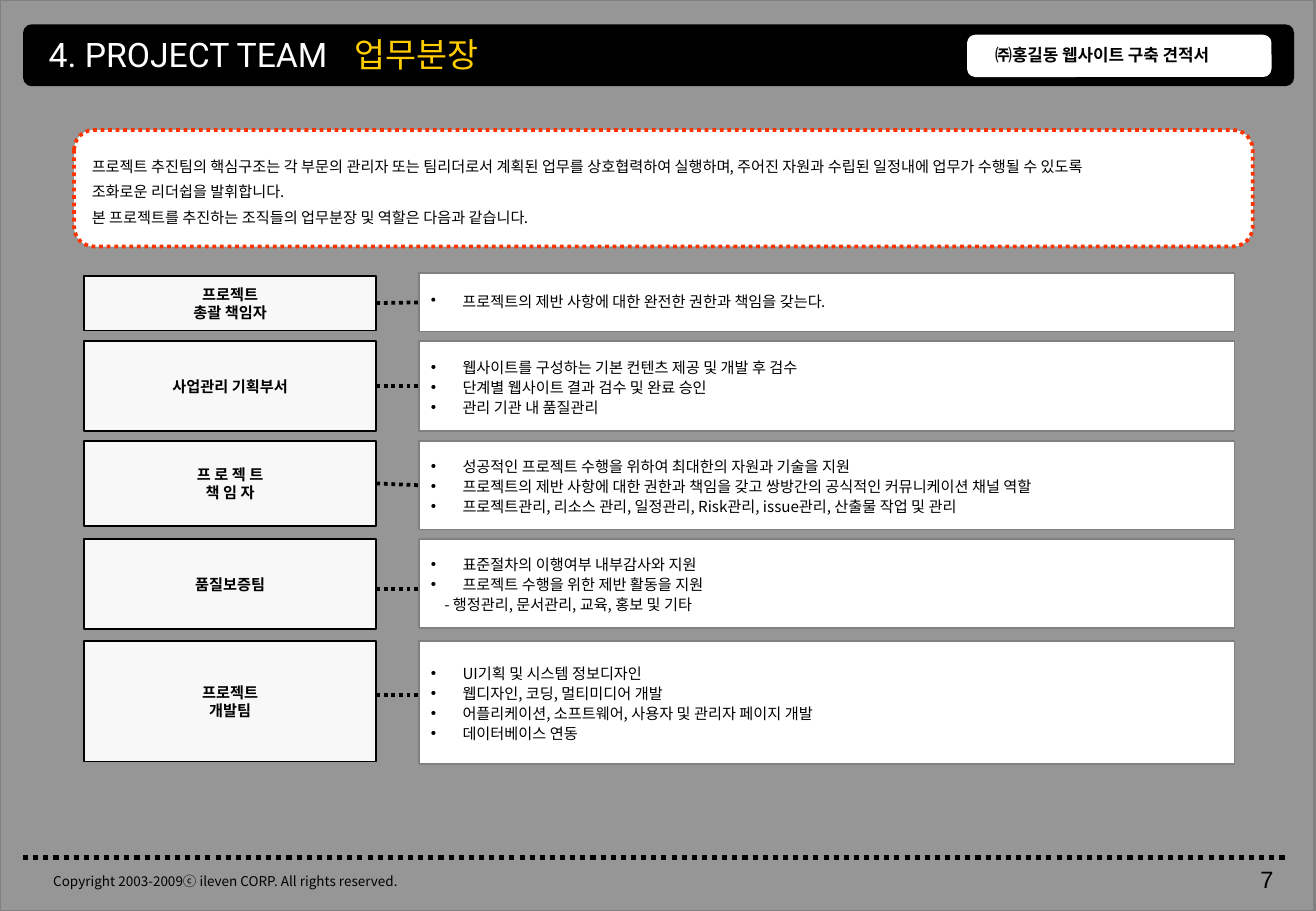
from dataclasses import dataclass
from typing import Optional

from lxml.etree import SubElement
from pptx import Presentation
from pptx.dml.color import RGBColor
from pptx.enum.dml import MSO_LINE
from pptx.enum.shapes import MSO_CONNECTOR as Connector, MSO_SHAPE as Preset
from pptx.enum.text import MSO_ANCHOR as Anchor, MSO_AUTO_SIZE as AutoSize, PP_ALIGN as Align
from pptx.oxml.ns import qn
from pptx.util import Pt

PX = 9144  # EMU per px, 100 px to the inch
BLACK = RGBColor(0x00, 0x00, 0x00)
WHITE = RGBColor(0xFF, 0xFF, 0xFF)
BACKDROP = RGBColor(0x96, 0x96, 0x96)
GRAY = RGBColor(0x80, 0x80, 0x80)
PALE = RGBColor(0xF8, 0xF8, 0xF8)
YELLOW = RGBColor(0xFF, 0xCC, 0x00)
ORANGE = RGBColor(0xFF, 0x33, 0x00)
KOREAN = "Noto Sans CJK KR"

LABEL_LEFT, LABEL_WIDTH = 69, 241
DUTY_LEFT, DUTY_WIDTH = 345, 672
BULLET_INDENT, DASH_INDENT = 26, 11


@dataclass(frozen=True)
class Box:
    left: int
    top: int
    width: int
    height: int

    def emu(self) -> tuple:
        return tuple(n * PX for n in (self.left, self.top, self.width, self.height))


@dataclass(frozen=True)
class Style:
    size: int = 9
    font: str = KOREAN
    color: RGBColor = BLACK
    bold: bool = False
    align: Align = Align.LEFT
    spacing: float = 1.0
    anchor: Anchor = Anchor.MIDDLE
    bullets: bool = False


@dataclass(frozen=True)
class Role:
    top: int
    label_height: int
    duty_top: int
    duty_height: int
    link_y: int
    name: tuple
    duties: tuple
    spacing: float = 1.1


@dataclass(frozen=True)
class Caption:
    box: Box
    text: str
    style: Style


ROLES = (
    Role(227, 45, 225, 48, 249, ("프로젝트", "총괄 책임자"),
         ("프로젝트의 제반 사항에 대한 완전한 권한과 책임을 갖는다.",), 0.9),
    Role(281, 74, 281, 74, 317, ("사업관리 기획부서",),
         ("웹사이트를 구성하는 기본 컨텐츠 제공 및 개발 후 검수",
          "단계별 웹사이트 결과 검수 및 완료 승인",
          "관리 기관 내 품질관리")),
    Role(363, 70, 363, 73, 399, ("프 로 젝 트", "책 임 자"),
         ("성공적인 프로젝트 수행을 위하여 최대한의 자원과 기술을 지원",
          "프로젝트의 제반 사항에 대한 권한과 책임을 갖고 쌍방간의 공식적인 커뮤니케이션 채널 역할",
          "프로젝트관리, 리소스 관리, 일정관리, Risk관리, issue관리, 산출물 작업 및 관리")),
    Role(444, 74, 444, 73, 485, ("품질보증팀",),
         ("표준절차의 이행여부 내부감사와 지원",
          "프로젝트 수행을 위한 제반 활동을 지원",
          "- 행정관리, 문서관리, 교육, 홍보 및 기타")),
    Role(528, 99, 528, 101, 572, ("프로젝트", "개발팀"),
         ("UI기획 및 시스템 정보디자인",
          "웹디자인, 코딩, 멀티미디어 개발",
          "어플리케이션, 소프트웨어, 사용자 및 관리자 페이지 개발",
          "데이터베이스 연동")),
)

INTRO = (
    "프로젝트 추진팀의 핵심구조는 각 부문의 관리자 또는 팀리더로서 계획된 업무를 상호협력하여 실행하며, "
    "주어진 자원과 수립된 일정내에 업무가 수행될 수 있도록",
    "조화로운 리더쉽을 발휘합니다.",
    "본 프로젝트를 추진하는 조직들의 업무분장 및 역할은 다음과 같습니다.",
)

CAPTIONS = (
    Caption(Box(34, 714, 330, 24), "Copyright 2003-2009ⓒ ileven CORP. All rights reserved.",
            Style(8, anchor=Anchor.TOP)),
    Caption(Box(810, 32, 210, 27), "㈜홍길동 웹사이트 구축 견적서",
            Style(10, bold=True, anchor=Anchor.TOP)),
    Caption(Box(833, 707, 226, 50), "7",
            Style(14, "Arial", align=Align.RIGHT, anchor=Anchor.TOP)),
    Caption(Box(282, 23, 323, 44), "업무분장", Style(20, color=YELLOW, anchor=Anchor.TOP)),
)


def set_bullet(paragraph, line: str) -> None:
    """Bullet a list line, or indent it plainly if it opens with a dash."""
    props = paragraph._p.get_or_add_pPr()
    if line.startswith("- "):
        props.set("marL", str(DASH_INDENT * PX))
        props.set("indent", "0")
        SubElement(props, qn("a:buNone"))
        return
    props.set("marL", str(BULLET_INDENT * PX))
    props.set("indent", str(-BULLET_INDENT * PX))
    color = SubElement(props, qn("a:buClr"))
    SubElement(color, qn("a:srgbClr")).set("val", str(BLACK))
    SubElement(props, qn("a:buChar")).set("char", "•")


def write(shape, lines: tuple, style: Style) -> None:
    frame = shape.text_frame
    frame.word_wrap = True
    frame.auto_size = AutoSize.NONE
    frame.vertical_anchor = style.anchor
    frame.margin_left = frame.margin_right = 10 * PX
    frame.margin_top = frame.margin_bottom = 5 * PX
    for i, line in enumerate(lines):
        paragraph = frame.add_paragraph() if i else frame.paragraphs[0]
        if style.bullets:
            set_bullet(paragraph, line)
        paragraph.alignment = style.align
        paragraph.line_spacing = style.spacing
        paragraph.space_before = Pt(0)
        run = paragraph.add_run()
        run.text = line
        run.font.size = Pt(style.size)
        run.font.bold = style.bold
        run.font.color.rgb = style.color
        run.font.name = style.font
        SubElement(run._r.get_or_add_rPr(), qn("a:ea")).set("typeface", style.font)


def place(shape, box: Box) -> None:
    shape.left, shape.top, shape.width, shape.height = box.emu()


def paint(shape, fill: Optional[RGBColor], line: Optional[RGBColor], weight: float = 1) -> None:
    shape.shadow.inherit = False
    if fill is None:
        shape.fill.background()
    else:
        shape.fill.solid()
        shape.fill.fore_color.rgb = fill
    if line is None:
        shape.line.fill.background()
    else:
        shape.line.color.rgb = line
        shape.line.width = Pt(weight)


def add_panel(slide, box: Box, fill: Optional[RGBColor], line: Optional[RGBColor] = None,
              weight: float = 1, corner: float = 0):
    """Add a rectangle, rounded when a corner ratio is given."""
    preset = Preset.ROUNDED_RECTANGLE if corner else Preset.RECTANGLE
    panel = slide.shapes.add_shape(preset, *box.emu())
    if corner:
        panel.adjustments[0] = corner
    paint(panel, fill, line, weight)
    return panel


def add_dotted_line(slide, left: int, right: int, y: int, weight: float):
    dots = slide.shapes.add_connector(Connector.STRAIGHT, left * PX, y * PX, right * PX, y * PX)
    dots.line.color.rgb = BLACK
    dots.line.width = Pt(weight)
    dots.line.dash_style = MSO_LINE.ROUND_DOT
    SubElement(dots._element.spPr, qn("a:effectLst"))
    return dots


def add_role(slide, role: Role, duties) -> None:
    place(duties, Box(DUTY_LEFT, role.duty_top, DUTY_WIDTH, role.duty_height))
    paint(duties, WHITE, GRAY)
    write(duties, role.duties, Style(spacing=role.spacing, bullets=True))
    label = add_panel(slide, Box(LABEL_LEFT, role.top, LABEL_WIDTH, role.label_height), PALE, BLACK)
    write(label, role.name, Style(bold=True, align=Align.CENTER))
    link = add_dotted_line(slide, LABEL_LEFT + LABEL_WIDTH, DUTY_LEFT, role.link_y, 2.25)
    if abs(role.link_y - role.top - role.label_height / 2) <= 1:
        link.begin_connect(label, 3)
        link.end_connect(duties, 1)


def main() -> None:
    deck = Presentation()
    deck.slide_width, deck.slide_height = 1084 * PX, 750 * PX
    slide = deck.slides.add_slide(deck.slide_layouts.get_by_name("Comparison"))
    slide.background.fill.solid()
    slide.background.fill.fore_color.rgb = BACKDROP
    title, *lists = slide.placeholders

    add_panel(slide, Box(0, 0, 1083, 750), None, GRAY, 1.5)
    add_dotted_line(slide, 19, 1059, 706, 3)
    add_panel(slide, Box(19, 20, 1047, 51), BLACK, corner=0.14)
    add_panel(slide, Box(798, 30, 248, 32), WHITE, WHITE, 2, 0.17)
    slide.shapes._spTree.append(title._element)
    place(title, Box(30, 23, 373, 44))
    write(title, ("4. PROJECT TEAM",), Style(20, "Roboto", WHITE, anchor=Anchor.TOP))
    for caption in CAPTIONS:
        write(slide.shapes.add_textbox(*caption.box.emu()), (caption.text,), caption.style)

    intro = add_panel(slide, Box(61, 107, 971, 96), WHITE, ORANGE, 2.25, 0.17)
    intro.line.dash_style = MSO_LINE.ROUND_DOT
    write(intro, INTRO, Style(spacing=1.4))

    lead_duty = add_panel(slide, Box(DUTY_LEFT, 225, DUTY_WIDTH, 48), WHITE)
    for role, duties in zip(ROLES, (lead_duty, *lists)):
        add_role(slide, role, duties)
    deck.save("out.pptx")


if __name__ == "__main__":
    main()
